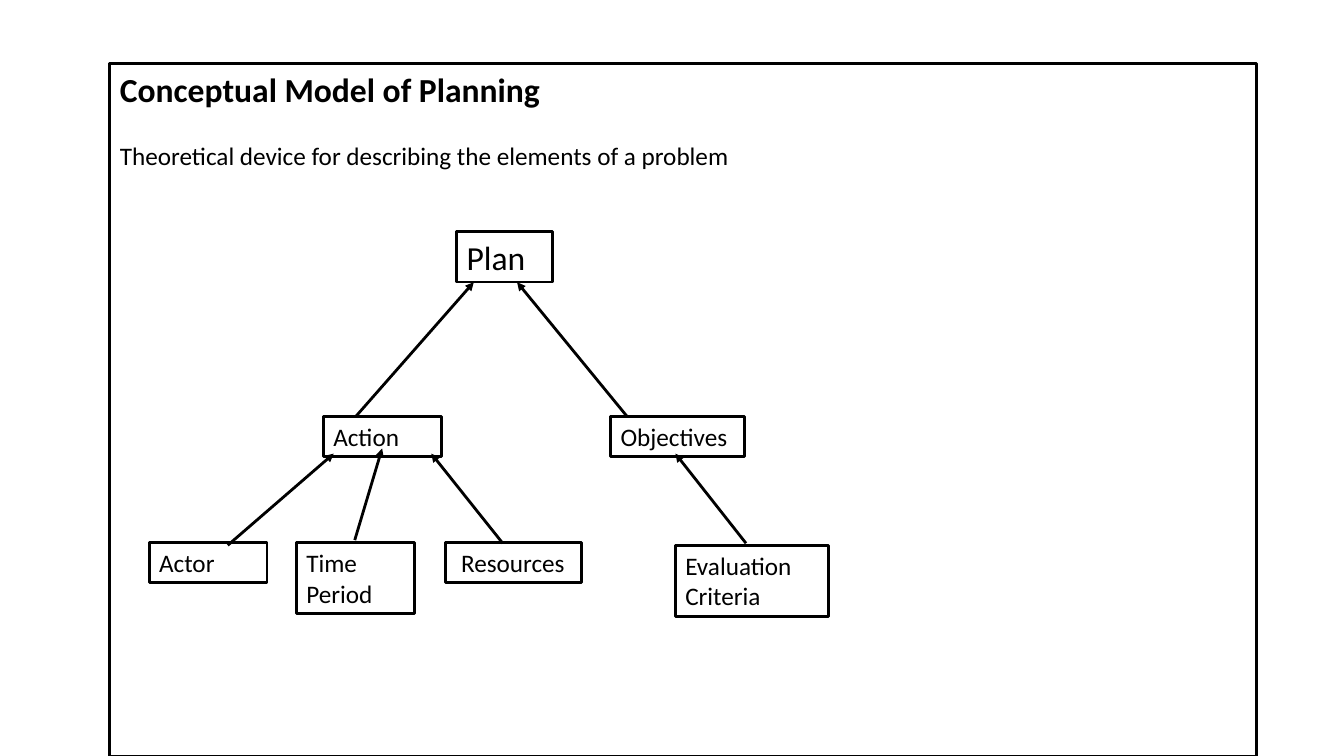
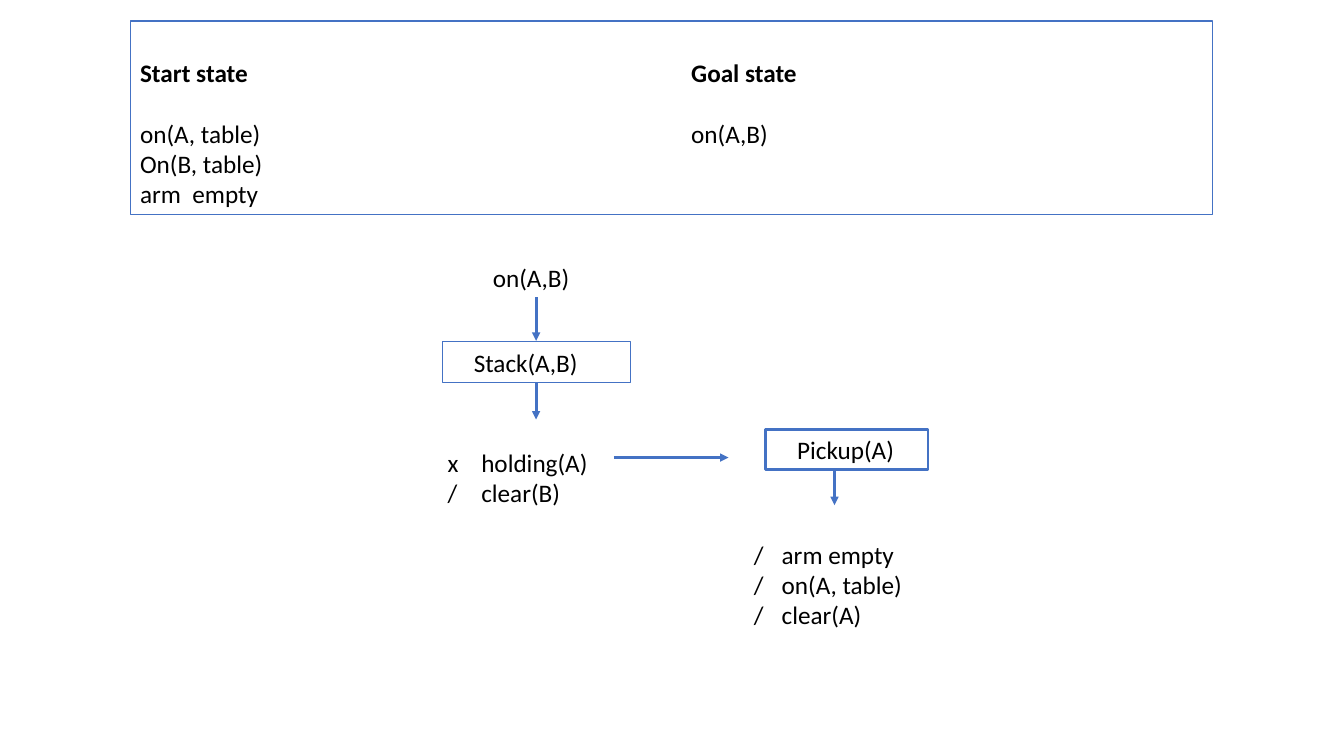
from lxml import etree
from pptx import Presentation
from pptx import util as u
from pptx.dml.color import RGBColor
from pptx.enum import shapes, text
from pptx.oxml.ns import qn

BLACK, WHITE, BLUE = "000000", "FFFFFF", "4472C4"


def rgb(value):
    return RGBColor.from_string(value)


class Deck:
    """Holds the style and the current slide, and draws its elements."""

    font, size, title_size = "Calibri", 18, 24
    inset_x, inset_y = 0.25, 0.13

    def __init__(self):
        self.prs = Presentation()
        self.prs.slide_width, self.prs.slide_height = u.Cm(33.87), u.Cm(19.05)
        self.slide = None
        self.accent = BLACK

    def new_slide(self, layout, accent):
        self.slide = self.prs.slides.add_slide(self.prs.slide_layouts[layout])
        self.accent = accent

    def fill_text(self, sp, lines, size=None, inset=None, hang=0):
        tf = sp.text_frame
        tf.word_wrap = True
        tf.auto_size = text.MSO_AUTO_SIZE.NONE
        tf.vertical_anchor = text.MSO_ANCHOR.TOP
        tf.margin_left = u.Cm(self.inset_x if inset is None else inset)
        tf.margin_right = u.Cm(self.inset_x)
        tf.margin_top = tf.margin_bottom = u.Cm(self.inset_y)
        tf.text = "\n".join(lines)
        for p in tf.paragraphs:
            p.alignment = text.PP_ALIGN.LEFT
            p.space_before = u.Pt(0)
            pPr = p._p.get_or_add_pPr()
            pPr.set("marL", str(u.Cm(hang)))
            pPr.set("indent", str(-u.Cm(hang)))
            etree.SubElement(pPr, qn("a:buNone"))
            for r in p.runs:
                r.font.name = self.font
                r.font.size = u.Pt(size or self.size)
                r.font.bold = False
                r.font.color.rgb = rgb(BLACK)
        return tf

    def embolden(self, p):
        for r in p.runs:
            r.font.bold = True

    def placeholder(self, idx, box, lines, size=None):
        sp = self.slide.placeholders[idx]
        sp.left, sp.top, sp.width, sp.height = map(u.Cm, box)
        return self.fill_text(sp, lines, size)

    def title(self, box, line):
        tf = self.placeholder(0, box, [line], self.title_size)
        self.embolden(tf.paragraphs[0])

    def drop_title(self):
        sp = self.slide.shapes.title.element
        sp.getparent().remove(sp)

    def state(self, idx, box, heading, facts):
        p = self.placeholder(idx, box, [heading, *facts]).paragraphs[0]
        self.embolden(p)
        p.space_after = u.Pt(22)

    def frame(self, box, width=2, fill=None):
        sp = self.slide.shapes.add_shape(
            shapes.MSO_SHAPE.RECTANGLE, *map(u.Cm, box))
        sp.shadow.inherit = False
        if fill:
            sp.fill.solid()
            sp.fill.fore_color.rgb = rgb(fill)
        else:
            sp.fill.background()
        sp.line.color.rgb = rgb(self.accent)
        sp.line.width = u.Pt(width)
        return sp

    def backdrop(self, box, width=2, fill=None):
        sp = self.frame(box, width, fill).element
        tree = sp.getparent()
        tree.remove(sp)
        tree.insert(2, sp)

    def node(self, box, lines, size=None, inset=None, width=2):
        self.fill_text(self.frame(box, width), lines, size, inset)

    def label(self, box, lines, hang=0):
        sp = self.slide.shapes.add_textbox(*map(u.Cm, box))
        self.fill_text(sp, lines, hang=hang)

    def arrow(self, x1, y1, x2, y2):
        c = self.slide.shapes.add_connector(
            shapes.MSO_CONNECTOR.STRAIGHT, *map(u.Cm, (x1, y1, x2, y2)))
        c.line.color.rgb = rgb(self.accent)
        c.line.width = u.Pt(2)
        etree.SubElement(c.get_or_add_ln(), qn("a:tailEnd"), type="triangle")
        etree.SubElement(c.element.spPr, qn("a:effectLst"))


def planning_model(deck):
    deck.new_slide(1, BLACK)
    left, top, width = 2.77, 1.6, 28.9
    deck.backdrop((left, top, width, 17.45))
    deck.title((left, top, width, 1.3), "Conceptual Model of Planning")
    deck.placeholder(1, (left, 3.41, width, 1.1),
                     ["Theoretical device for describing the elements of a problem"])

    middle, bottom, one_line, two_lines = 10.49, 13.67, 1.02, 1.8
    deck.node((11.51, 5.84, 2.41, 1.27), ["Plan"], deck.title_size)
    deck.node((8.15, middle, 2.97, one_line), ["Action"])
    deck.node((15.39, middle, 3.38, one_line), ["Objectives"])
    deck.node((3.76, bottom, 2.97, one_line), ["Actor"])
    deck.node((7.47, bottom, 2.97, two_lines), ["Time", "Period"])
    deck.node((11.23, bottom, 3.43, one_line), ["Resources"], inset=0.39)
    deck.node((17.02, 13.74, 3.86, two_lines), ["Evaluation", "Criteria"])

    for ends in (
        (8.97, middle, 11.94, 7.11),
        (15.8, middle, 13.03, 7.11),
        (5.74, 13.74, 8.41, 11.43),
        (8.94, 13.61, 9.63, 11.3),
        (12.67, 13.69, 10.87, 11.43),
        (18.8, 13.69, 17.02, 11.43),
    ):
        deck.arrow(*ends)


def goal_stack(deck):
    deck.new_slide(3, BLUE)
    deck.drop_title()
    deck.backdrop((3.28, 0.53, 27.28, 4.88), 0.75, WHITE)
    deck.state(1, (3.28, 1.31, 13, 4.1), "Start state",
               ["on(A, table)", "On(B, table)", "arm  empty"])
    deck.state(2, (17.17, 1.31, 13, 4.1), "Goal state", ["on(A,B)"])

    deck.label((12.17, 6.48, 4, 1.02), ["on(A,B)"])
    deck.node((11.15, 8.61, 4.75, 1.02), ["Stack(A,B)"], inset=0.79, width=0.75)
    deck.label((11.03, 11.13, 4.6, 1.8), ["x\tholding(A)", "/\tclear(B)"], 0.85)
    deck.node((19.3, 10.82, 4.09, 1.02), ["Pickup(A)"], inset=0.79)
    deck.label((18.75, 13.45, 5.5, 2.6),
               ["/\tarm empty", "/\ton(A, table)", "/\tclear(A)"], 0.7)

    stack_x, pickup_x, link_y = 13.51, 21.03, 11.53
    deck.arrow(stack_x, 7.49, stack_x, 8.59)
    deck.arrow(stack_x, 9.63, stack_x, 10.57)
    deck.arrow(15.47, link_y, 18.36, link_y)
    deck.arrow(pickup_x, 11.86, pickup_x, 12.73)


def main():
    deck = Deck()
    planning_model(deck)
    goal_stack(deck)
    deck.prs.save("out.pptx")


if __name__ == "__main__":
    main()
